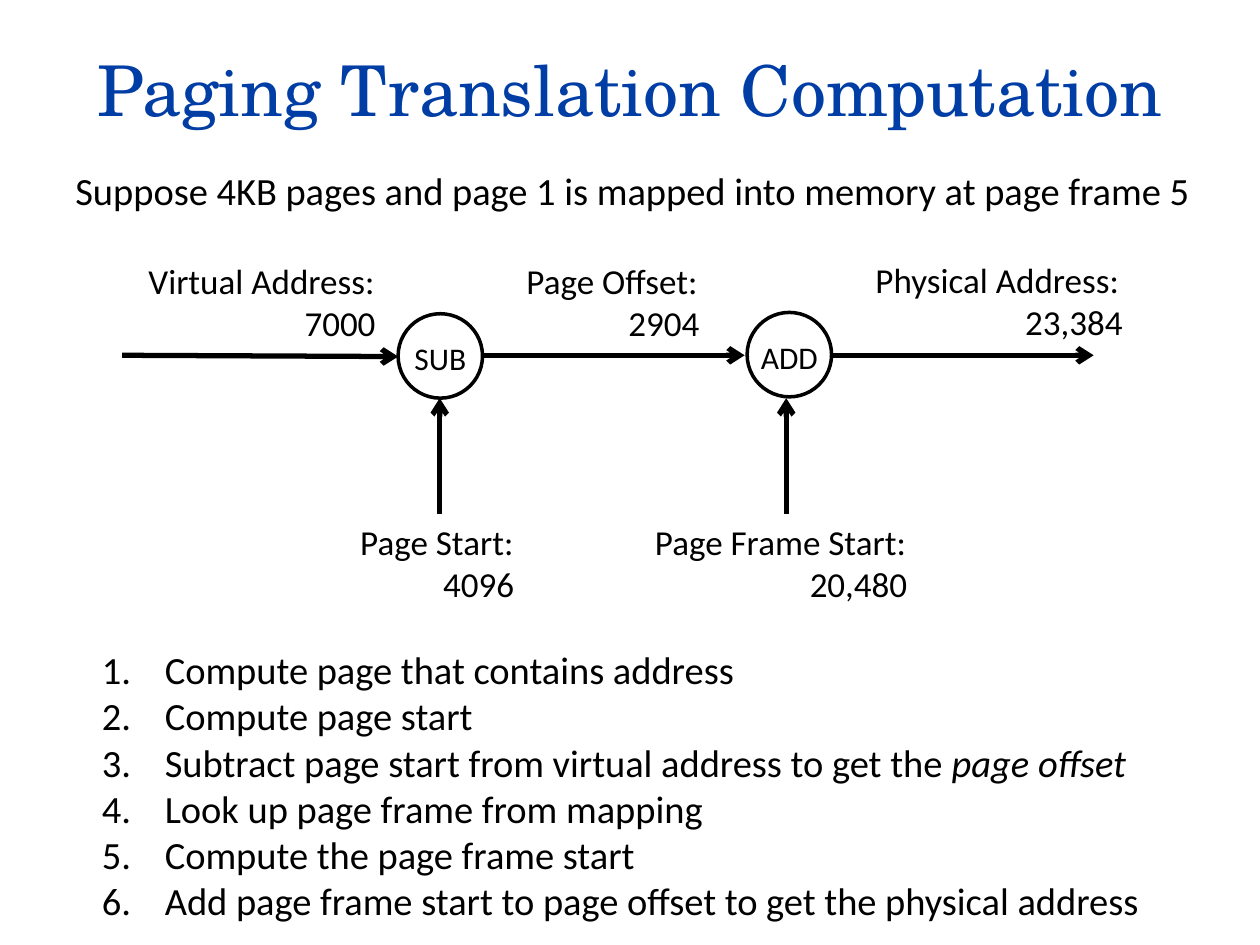
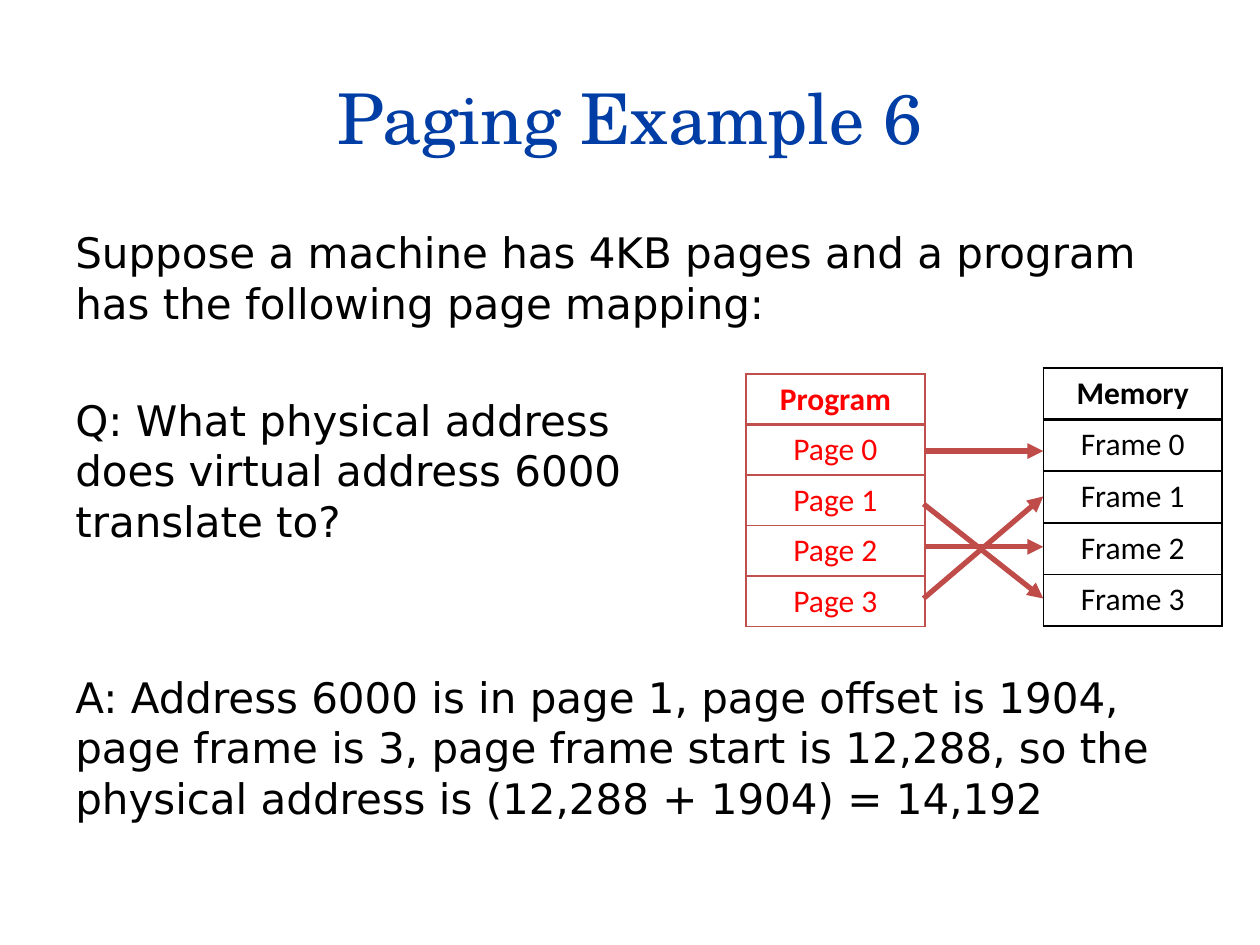
from lxml import etree
from pptx import Presentation
from pptx.dml.color import RGBColor
from pptx.enum.shapes import MSO_CONNECTOR as CONN, MSO_SHAPE as SHAPE
from pptx.enum.text import MSO_ANCHOR as ANCHOR, PP_ALIGN as ALIGN
from pptx.oxml.ns import qn
from pptx.util import Inches, Pt

COLORS = {
    "title": "003DA5",
    "text": "000000",
    "program": "FF0000",
    "program_border": "C0504D",
    "mapping": "BF4C48",
}
TITLE_FONT = "TeX Gyre Schola"
DIAGRAM_FONT = "Calibri"
BODY_FONT = "DejaVu Sans"


def rgb(name):
    return RGBColor.from_string(COLORS[name])


def box(*lengths):
    return [Inches(v) for v in lengths]


def add_run(p, text, size, font=DIAGRAM_FONT, color="text", bold=False, italic=False):
    r = p.add_run()
    r.text = text
    r.font.size = Pt(size)
    r.font.name = font
    r.font.color.rgb = rgb(color)
    r.font.bold = bold
    r.font.italic = italic


def add_title_slide(prs, title, top):
    s = prs.slides.add_slide(prs.slide_layouts[5])
    sp = s.shapes.title
    sp.left, sp.top, sp.width, sp.height = box(0.5, top, 9, 1.25)
    tf = sp.text_frame
    tf.vertical_anchor = ANCHOR.MIDDLE
    p = tf.paragraphs[0]
    p.alignment = ALIGN.CENTER
    add_run(p, title, 40, TITLE_FONT, "title")
    return s


def add_frame(s, x, y, w, h, wrap=True):
    tf = s.shapes.add_textbox(*box(x, y, w, h)).text_frame
    tf.word_wrap = wrap
    return tf


def add_text(s, text, x, y, w, h, size, font=DIAGRAM_FONT, wrap=True):
    tf = add_frame(s, x, y, w, h, wrap)
    add_run(tf.paragraphs[0], text, size, font)


def add_value_label(s, label, value, x, y, w):
    tf = add_frame(s, x, y, w, 0.77)
    p = tf.paragraphs[0]
    add_run(p, label, 20)
    p = tf.add_paragraph()
    p.alignment = ALIGN.RIGHT
    add_run(p, value, 20)


def add_operation(s, name, x, y):
    sp = s.shapes.add_shape(SHAPE.OVAL, *box(x, y, 0.67, 0.67))
    sp.shadow.inherit = False
    sp.fill.background()
    sp.line.color.rgb = rgb("text")
    sp.line.width = Pt(2)
    tf = sp.text_frame
    tf.word_wrap = False
    tf.margin_left = tf.margin_right = tf.margin_bottom = 0
    tf.margin_top = Inches(0.03)
    tf.vertical_anchor = ANCHOR.MIDDLE
    p = tf.paragraphs[0]
    p.alignment = ALIGN.CENTER
    add_run(p, name, 18)


def add_arrow(s, x1, y1, x2, y2, head="arrow", color="text"):
    c = s.shapes.add_connector(CONN.STRAIGHT, *box(x1, y1, x2, y2))
    c.line.color.rgb = rgb(color)
    c.line.width = Pt(3)
    etree.SubElement(c.line._get_or_add_ln(), qn("a:tailEnd"), type=head)
    etree.SubElement(c._element.spPr, qn("a:effectLst"))


def add_numbered_list(s, items, x, y, w, h):
    tf = add_frame(s, x, y, w, h)
    for i, runs in enumerate(items):
        p = tf.add_paragraph() if i else tf.paragraphs[0]
        pPr = p._p.get_or_add_pPr()
        pPr.set("marL", str(Inches(0.5)))
        pPr.set("indent", str(-Inches(0.5)))
        etree.SubElement(pPr, qn("a:buFont"), typeface="+mj-lt")
        etree.SubElement(pPr, qn("a:buAutoNum"), type="arabicPeriod")
        for text, italic in runs:
            add_run(p, text, 22, italic=italic)


def set_borders(cell, color, widths):
    tcPr = cell._tc.get_or_add_tcPr()
    for side, width in zip("LRTB", widths):
        ln = etree.SubElement(tcPr, qn(f"a:ln{side}"), w=str(Pt(width)))
        fill = etree.SubElement(ln, qn("a:solidFill"))
        etree.SubElement(fill, qn("a:srgbClr"), val=COLORS[color])


def add_column_table(s, rows, x, y, row_height, color, border):
    n = len(rows)
    table = s.shapes.add_table(n, 1, *box(x, y, 1.42, row_height * n)).table
    table.first_row = table.horz_banding = False
    for i, text in enumerate(rows):
        cell = table.cell(i, 0)
        set_borders(cell, border, (1, 1, 2 if i == 1 else 1, 2 if i == 0 else 1))
        cell.fill.background()
        p = cell.text_frame.paragraphs[0]
        p.alignment = ALIGN.CENTER
        add_run(p, text, 18, color=color, bold=i == 0)


def build_computation(prs):
    s = add_title_slide(prs, "Paging Translation Computation", 0.08)
    add_text(s, "Suppose 4KB pages and page 1 is mapped into memory at page frame 5",
             0.5, 1.28, 9.15, 0.47, 22, wrap=False)

    for ends in [(0.97, 2.82, 3.16, 2.83), (3.83, 2.82, 5.91, 2.82),
                 (6.6, 2.82, 8.68, 2.82), (3.49, 4.08, 3.49, 3.16),
                 (6.24, 4.08, 6.24, 3.16)]:
        add_arrow(s, *ends)
    add_operation(s, "SUB", 3.16, 2.49)
    add_operation(s, "ADD", 5.93, 2.48)

    for label in [("Virtual Address:", "7000", 1.08, 2.01, 2),
                  ("Page Offset:", "2904", 4.08, 2.01, 1.57),
                  ("Physical Address:", "23,384", 6.85, 2, 2.16),
                  ("Page Start:", "4096", 2.76, 4.08, 1.42),
                  ("Page Frame Start:", "20,480", 5.1, 4.08, 2.2)]:
        add_value_label(s, *label)

    add_numbered_list(s, [
        [("Compute page that contains address", False)],
        [("Compute page start", False)],
        [("Subtract page start from virtual address to get the ", False),
         ("page offset", True)],
        [("Look up page frame from mapping", False)],
        [("Compute the page frame start", False)],
        [("Add page frame start to page offset to get the physical address", False)],
    ], 0.71, 5.08, 8.7, 2.32)


def build_example(prs):
    s = add_title_slide(prs, "Paging Example 6", 0.3)
    for text, y, w, h in [
        ("Suppose a machine has 4KB pages and a program has the following page mapping:",
         1.75, 9, 0.9),
        ("Q: What physical address does virtual address 6000 translate to?",
         3.08, 4.8, 1.3),
        ("A: Address 6000 is in page 1, page offset is 1904, page frame is 3, "
         "page frame start is 12,288, so the physical address is "
         "(12,288 + 1904) = 14,192", 5.28, 9, 1.3),
    ]:
        add_text(s, text, 0.5, y, w, h, 24, BODY_FONT)

    add_column_table(s, ["Program"] + [f"Page {i}" for i in range(4)],
                     5.92, 2.97, 0.4, "program", "program_border")
    add_column_table(s, ["Memory"] + [f"Frame {i}" for i in range(4)],
                     8.28, 2.92, 0.41, "text", "text")

    page_y = [3.58, 4, 4.34, 4.75]
    frame_y = [3.58, 3.94, 4.34, 4.75]
    page_to_frame = {0: 0, 3: 1, 2: 2, 1: 3}
    for page, frame in page_to_frame.items():
        add_arrow(s, 7.33, page_y[page], 8.28, frame_y[frame], "triangle", "mapping")


def main():
    prs = Presentation()
    prs.slide_width, prs.slide_height = box(10, 7.5)
    build_computation(prs)
    build_example(prs)
    prs.save("out.pptx")


if __name__ == "__main__":
    main()
